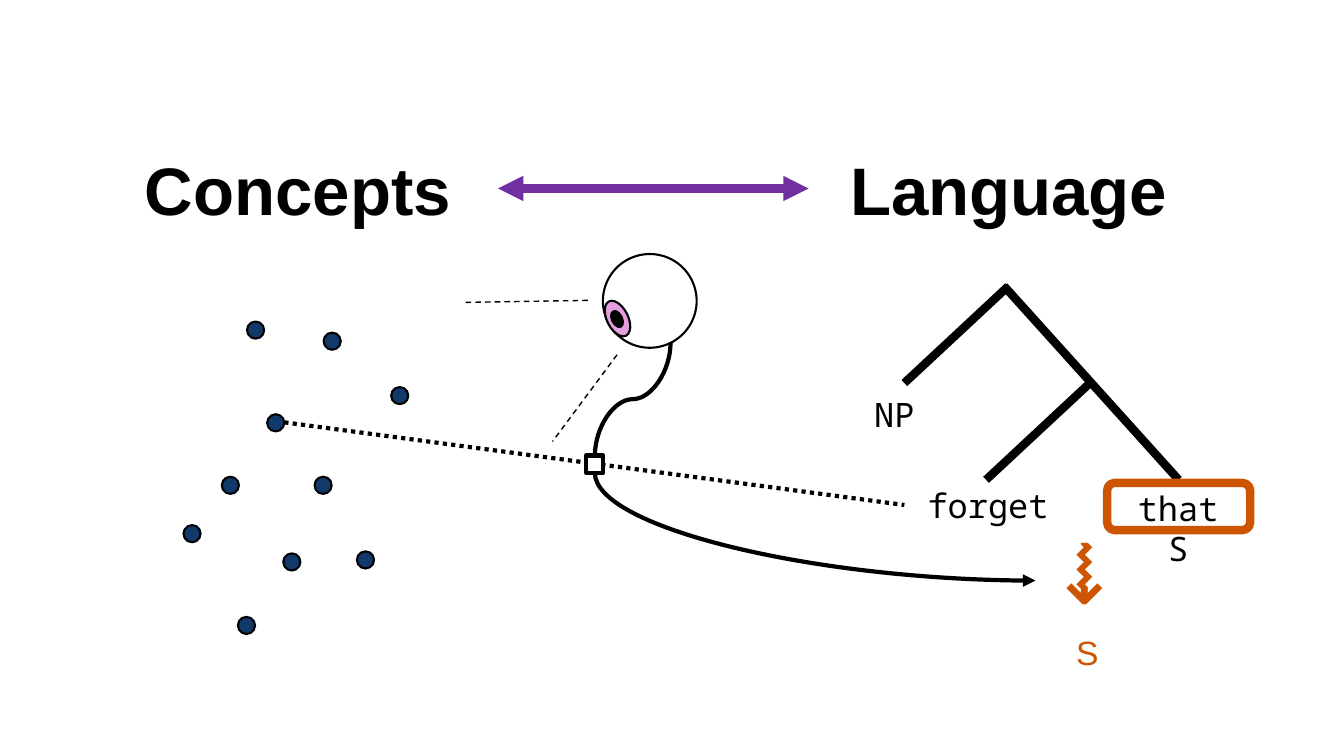
from lxml import etree
from pptx import Presentation
from pptx.dml.color import RGBColor
from pptx.enum.dml import MSO_LINE
from pptx.enum.shapes import MSO_CONNECTOR, MSO_SHAPE
from pptx.enum.text import MSO_AUTO_SIZE, PP_ALIGN
from pptx.oxml.ns import qn
from pptx.util import Inches, Pt

STRAIGHT, CURVE = MSO_CONNECTOR.STRAIGHT, MSO_CONNECTOR.CURVE
OVAL, RECT, ROUNDED = MSO_SHAPE.OVAL, MSO_SHAPE.RECTANGLE, MSO_SHAPE.ROUNDED_RECTANGLE
DOTTED, DASHED = MSO_LINE.ROUND_DOT, MSO_LINE.DASH
FIT_SHAPE, CENTER = MSO_AUTO_SIZE.SHAPE_TO_FIT_TEXT, PP_ALIGN.CENTER
SANS, MONO = "Arial", "Noto Sans Mono"
COLORS = {"black": "000000", "white": "FFFFFF", "navy": "113A6B",
          "purple": "7030A0", "orange": "CD5400", "pink": "E59EDD"}
DOT = 0.17


def rgb(name):
    return RGBColor.from_string(COLORS[name])


def add_text(slide, box, text, size=24, font=MONO, color="black", bold=False,
             align=CENTER, wrap=True):
    s = slide.shapes.add_textbox(*map(Inches, box))
    tf = s.text_frame
    tf.word_wrap = wrap
    tf.auto_size = FIT_SHAPE
    p = tf.paragraphs[0]
    p.alignment = align
    r = p.add_run()
    r.text = text
    r.font.size, r.font.name, r.font.bold = Pt(size), font, bold
    r.font.color.rgb = rgb(color)
    return s


def add_outlined(slide, kind, box, fill=None, line="black", width=1.5, rotation=0):
    s = slide.shapes.add_shape(kind, *map(Inches, box))
    s.shadow.inherit = False
    s.rotation = rotation
    if fill:
        s.fill.solid()
        s.fill.fore_color.rgb = rgb(fill)
    else:
        s.fill.background()
    s.line.color.rgb = rgb(line)
    s.line.width = Pt(width)


def add_line(slide, start, end, width, color="black", dash=None, ends=(), kind=STRAIGHT):
    """Arrowheads go on the given ends: headEnd at the start, tailEnd at the end."""
    s = slide.shapes.add_connector(kind, *map(Inches, (*start, *end)))
    s.line.color.rgb = rgb(color)
    s.line.width = Pt(width)
    if dash:
        s.line.dash_style = dash
    for tag in ends:
        etree.SubElement(s.line._get_or_add_ln(), qn(f"a:{tag}"), type="triangle")
    etree.SubElement(s._element.spPr, qn("a:effectLst"))
    return s


def add_curve(slide, start, end, turn, preset, ends=()):
    """Join two points by a curve turned a quarter clockwise (1) or back (-1)."""
    cx, cy = (start[0] + end[0]) / 2, (start[1] + end[1]) / 2
    dx, dy = turn * (start[1] - cy), turn * (cx - start[0])
    s = add_line(slide, (cx + dx, cy + dy), (cx - dx, cy - dy), 3, ends=ends, kind=CURVE)
    sp_pr = s._element.spPr
    sp_pr.find(qn("a:xfrm")).set("rot", str(turn % 4 * 90 * 60000))
    sp_pr.find(qn("a:prstGeom")).set("prst", preset)


def add_headings(slide, x, y, w):
    column, h = 3.97, 0.91
    for left, word in ((x + w - column, "Language"), (x, "Concepts")):
        add_text(slide, (left, y, column, h), word, 48, SANS, bold=True)
    add_line(slide, (x + column, y + 0.45), (x + w - column, y + 0.45), 6, "purple",
             ends=("headEnd", "tailEnd"))


def add_concepts(slide, x, y):
    spots = [(0.63, 0), (1.39, 0.11), (0.83, 0.92), (1.3, 1.54), (0.38, 1.54),
             (2.06, 0.65), (0.99, 2.3), (1.72, 2.28), (0.54, 2.93), (0, 2.02)]
    for dx, dy in spots:
        add_outlined(slide, OVAL, (x + dx, y + dy, DOT, DOT), "navy")


def add_tree(slide, x, y):
    """Syntax tree whose leftmost branch ends at x and whose top is at y."""
    level = 0.96
    add_line(slide, (x + 1.03, y), (x, y + level), 6)
    add_line(slide, (x + 1.84, y + level), (x + 0.81, y + 2 * level), 6)
    add_line(slide, (x + 0.99, y), (x + 2.72, y + 2 * level), 6)
    add_text(slide, (x, y + 1.92, 1.66, 0.5), "forget")
    add_text(slide, (x - 0.93, y + 1.02, 1.66, 0.5), "NP")
    add_text(slide, (x + 2.06, y + 1.95, 1.31, 0.5), "that S")
    add_outlined(slide, ROUNDED, (x + 2.01, y + 1.95, 1.42, 0.47), line="orange", width=6)


def add_projection(slide, x, y):
    """Square on the link at x, y, its arrow and the S it leads to."""
    add_outlined(slide, RECT, (x - DOT / 2, y, DOT, DOT), "white", width=3)
    squiggle = add_text(slide, (x + 4.41, y + 0.68, 1.03, 1.11), "⇝", 60, SANS, "orange",
                        align=None, wrap=False)
    squiggle.rotation = 90
    add_text(slide, (x + 2.82, y + 1.7, 4.13, 0.5), "S", 24, SANS, "orange")
    add_curve(slide, (x, y + DOT), (x + 4.37, y + 1.24), -1, "curvedConnector2", ("tailEnd",))


def add_eye(slide, x, y, stalk_foot):
    tilt = 333.5
    for dx, dy, w, h, fill in ((0, 0, 0.93, 0.93, "white"), (0.04, 0.45, 0.21, 0.38, "pink"),
                               (0.09, 0.56, 0.1, 0.17, "black")):
        add_outlined(slide, OVAL, (x + dx, y + dy, w, h), fill, rotation=tilt)
    add_line(slide, (x - 0.15, y + 0.46), (x - 1.37, y + 0.48), 1, dash=DASHED)
    add_line(slide, (x + 0.14, y + 1), (x - 0.5, y + 1.86), 1, dash=DASHED)
    add_curve(slide, stalk_foot, (x + 0.67, y + 0.88), 1, "curvedConnector3")


def main():
    prs = Presentation()
    prs.slide_width, prs.slide_height = Inches(13.33), Inches(7.5)
    slide = prs.slides.add_slide(prs.slide_layouts[6])
    link = (5.9, 4.52)
    add_headings(slide, 0.97, 1.42, 11.02)
    add_concepts(slide, 1.82, 3.19)
    add_tree(slide, 8.97, 2.84)
    add_line(slide, (2.82, 4.19), (8.97, 5.01), 3, dash=DOTTED)
    add_projection(slide, *link)
    add_eye(slide, 5.98, 2.52, link)
    prs.save("out.pptx")


if __name__ == "__main__":
    main()
